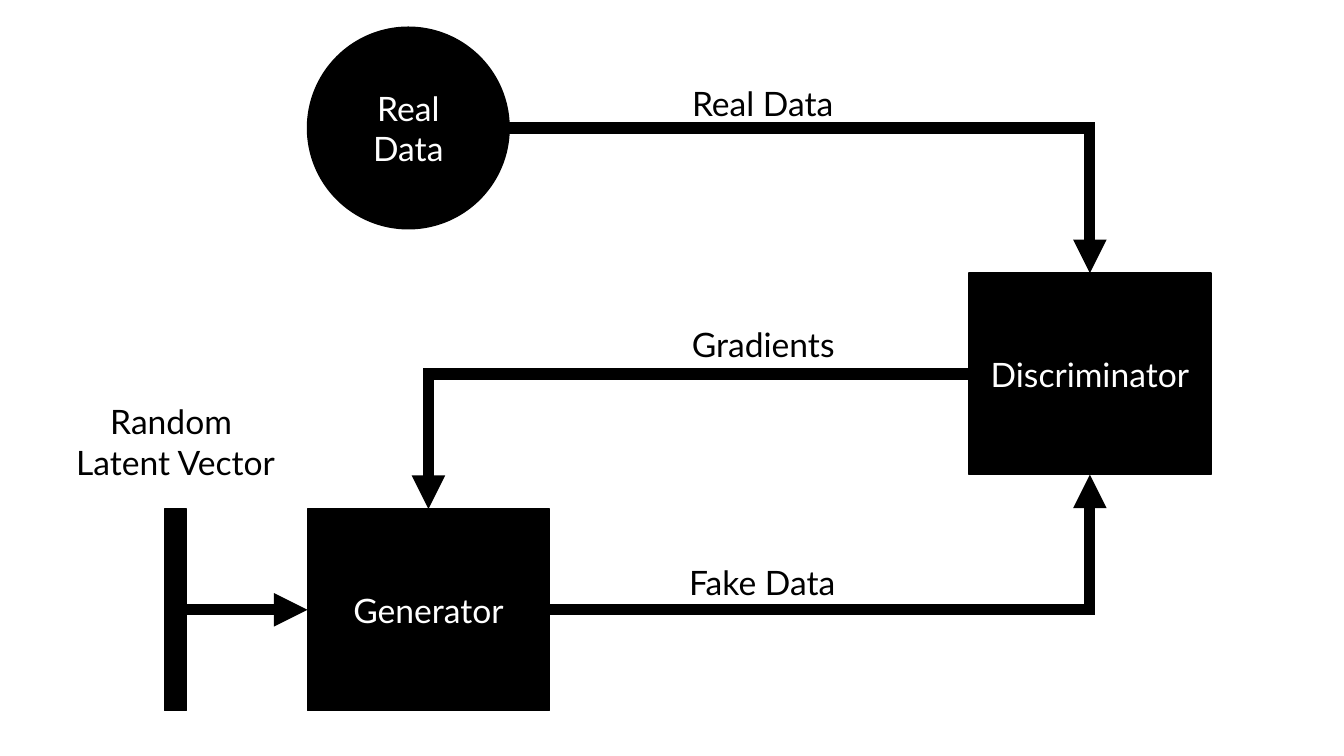
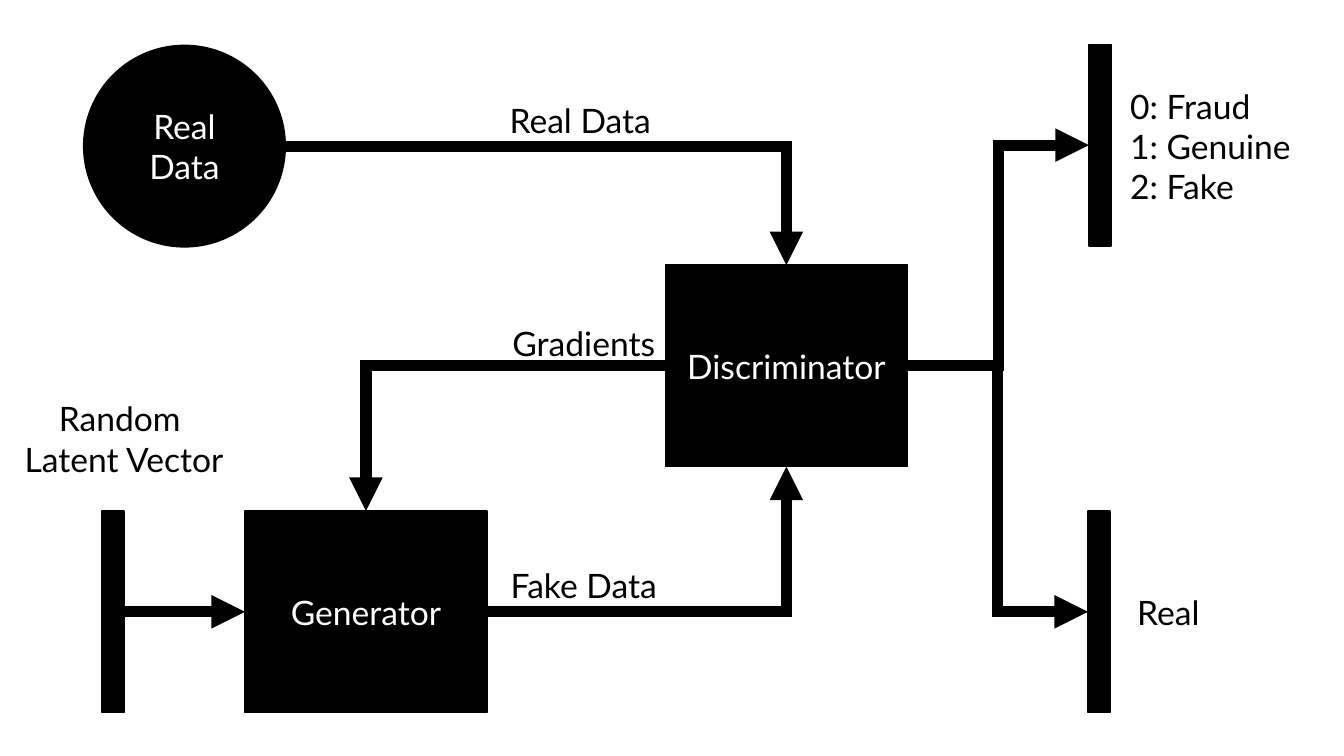
from lxml.etree import SubElement
from pptx import Presentation
from pptx.dml.color import RGBColor
from pptx.enum.shapes import MSO_CONNECTOR, MSO_SHAPE
from pptx.enum.text import MSO_ANCHOR, MSO_AUTO_SIZE, PP_ALIGN
from pptx.oxml.ns import qn
from pptx.util import Inches, Pt

RECTANGLE, OVAL = MSO_SHAPE.RECTANGLE, MSO_SHAPE.OVAL
STRAIGHT, ELBOW = MSO_CONNECTOR.STRAIGHT, MSO_CONNECTOR.ELBOW
LEFT, CENTER = PP_ALIGN.LEFT, PP_ALIGN.CENTER
MIDDLE, TOP = MSO_ANCHOR.MIDDLE, MSO_ANCHOR.TOP
FIT_SHAPE = MSO_AUTO_SIZE.SHAPE_TO_FIT_TEXT

BLACK, WHITE = "000000", "FFFFFF"
FONT, TEXT_SIZE = "Lato", 24
FLOW_WEIGHT = 8
NODE_WIDTH, NODE_HEIGHT, BAR_WIDTH = 2.4, 2, 0.22
BAR_OFFSET = 1.42
SITES = {
    RECTANGLE: {"top": 0, "left": 1, "bottom": 2, "right": 3},
    OVAL: {"top": 0, "left": 2, "bottom": 4, "right": 6},
}


def color(value):
    """Turn a hex string into a colour."""
    return RGBColor.from_string(value)


def write(frame, text, ink=BLACK, align=CENTER, anchor=TOP, wrap=True):
    """Write each line of text as a formatted paragraph."""
    frame.word_wrap = wrap
    frame.vertical_anchor = anchor
    for index, line in enumerate(text.split("\n")):
        para = frame.add_paragraph() if index else frame.paragraphs[0]
        para.alignment = align
        span = para.add_run()
        span.text = line
        span.font.name = FONT
        span.font.size = Pt(TEXT_SIZE)
        span.font.color.rgb = color(ink)


def side_point(shape, side):
    """Return the middle of one side of a shape."""
    across = {"left": 0, "right": shape.width}.get(side, shape.width // 2)
    down = {"top": 0, "bottom": shape.height}.get(side, shape.height // 2)
    return shape.left + across, shape.top + down


class Diagram:
    """Hold the deck, its style and the current page."""

    def __init__(self):
        """Start a widescreen deck."""
        self.deck = Presentation()
        self.deck.slide_width = Inches(13.33)
        self.deck.slide_height = Inches(7.5)
        self.page = None

    def add_page(self):
        """Start a blank page."""
        self.page = self.deck.slides.add_slide(self.deck.slide_layouts[6])

    def node(self, left, top, text="", width=NODE_WIDTH, kind=RECTANGLE):
        """Draw a solid node with an optional caption."""
        shape = self.page.shapes.add_shape(
            kind, Inches(left), Inches(top), Inches(width), Inches(NODE_HEIGHT))
        shape.shadow.inherit = False
        shape.fill.solid()
        shape.fill.fore_color.rgb = color(BLACK)
        shape.line.color.rgb = color(BLACK)
        shape.line.width = Pt(1)
        if text:
            write(shape.text_frame, text, ink=WHITE, anchor=MIDDLE)
        return shape

    def bar(self, left, top):
        """Draw a thin vector bar."""
        return self.node(left, top, width=BAR_WIDTH)

    def label(self, left, top, width, height, text, align=CENTER):
        """Place a label that does not wrap."""
        box = self.page.shapes.add_textbox(
            Inches(left), Inches(top), Inches(width), Inches(height))
        write(box.text_frame, text, align=align, wrap=False)
        box.text_frame.auto_size = FIT_SHAPE

    def flow(self, source, source_side, target, target_side, kind=ELBOW):
        """Join two nodes with a thick arrow."""
        arrow = self.page.shapes.add_connector(
            kind, *side_point(source, source_side),
            *side_point(target, target_side))
        arrow.line.color.rgb = color(BLACK)
        arrow.line.width = Pt(FLOW_WEIGHT)
        outline = arrow.line._get_or_add_ln()
        SubElement(outline, qn("a:miter"), lim="800000")
        SubElement(outline, qn("a:tailEnd"), type="triangle")
        properties = arrow._element.spPr
        SubElement(properties, qn("a:effectLst"))
        if kind == ELBOW and target_side in ("top", "bottom"):
            properties.find(qn("a:prstGeom")).set("prst", "bentConnector2")
        joints = arrow._element.find(".//" + qn("p:cNvCxnSpPr"))
        for tag, shape, side in (("a:stCxn", source, source_side),
                                 ("a:endCxn", target, target_side)):
            site = SITES[shape.auto_shape_type][side]
            SubElement(joints, qn(tag), id=str(shape.shape_id), idx=str(site))

    def network(self, generator_at, discriminator_at, data_at, latent_at, labels):
        """Draw the adversarial network and return its discriminator."""
        generator = self.node(*generator_at, "Generator")
        discriminator = self.node(*discriminator_at, "Discriminator")
        data = self.node(*data_at, "Real Data", width=2, kind=OVAL)
        latent = self.bar(generator_at[0] - BAR_OFFSET, generator_at[1])
        self.flow(data, "right", discriminator, "top")
        self.flow(generator, "right", discriminator, "bottom")
        self.flow(discriminator, "left", generator, "top")
        self.flow(latent, "right", generator, "left", kind=STRAIGHT)
        for text, (left, top, width) in labels.items():
            self.label(left, top, width, 0.5, text)
        self.label(*latent_at, 2.24, 0.91, "Random \nLatent Vector")
        return discriminator


def main():
    """Build both network diagrams."""
    diagram = Diagram()

    diagram.add_page()
    diagram.network((3.05, 5.05), (9.61, 2.71), (3.05, 0.27), (0.62, 3.93), {
        "Real Data": (6.75, 0.77, 1.63),
        "Fake Data": (6.71, 5.53, 1.7),
        "Gradients": (6.75, 3.16, 1.64),
    })

    diagram.add_page()
    discriminator = diagram.network(
        (2.43, 5.07), (6.6, 2.63), (0.83, 0.45), (0.11, 3.9), {
            "Real Data": (4.94, 0.94, 1.63),
            "Fake Data": (4.94, 5.56, 1.7),
            "Gradients": (4.97, 3.15, 1.64),
        })
    for left, top in ((10.8, 0.44), (10.79, 5.07)):
        diagram.flow(discriminator, "right", diagram.bar(left, top), "left")
    diagram.label(11.11, 0.8, 1.81, 1.31, "0: Fraud\n1: Genuine\n2: Fake", LEFT)
    diagram.label(11.18, 5.82, 0.83, 0.5, "Real", LEFT)

    diagram.deck.save("out.pptx")


main()
